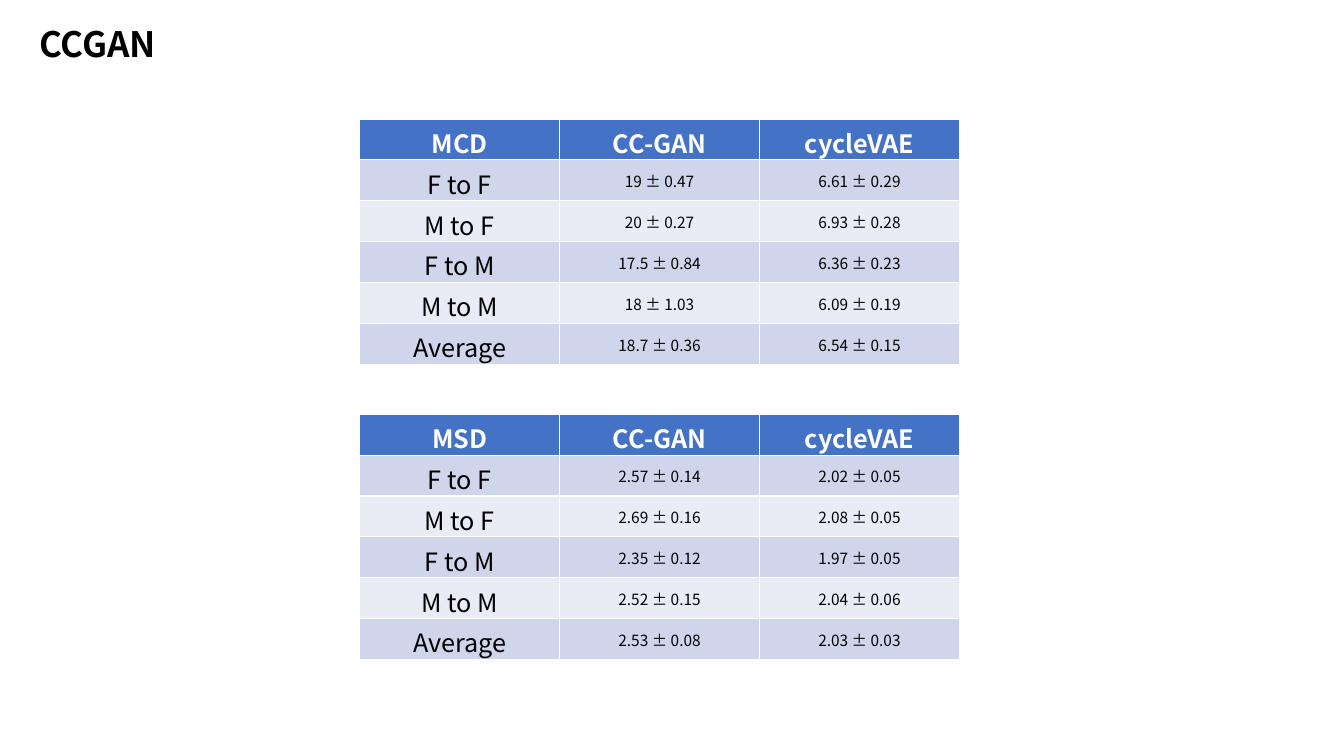
"""Build the CCGAN slide with the MCD and MSD comparison tables."""
from lxml.etree import SubElement
from pptx import Presentation
from pptx.dml.color import RGBColor
from pptx.enum.text import MSO_ANCHOR as Anchor, MSO_AUTO_SIZE as AutoSize, PP_ALIGN as Align
from pptx.oxml.ns import qn
from pptx.util import Pt

FONT = "Noto Sans CJK KR"
BLACK = RGBColor(0x00, 0x00, 0x00)
WHITE = RGBColor(0xFF, 0xFF, 0xFF)
HEADER_BLUE = RGBColor(0x44, 0x72, 0xC4)
BANDS = [RGBColor(0xE9, 0xEB, 0xF5), RGBColor(0xCF, 0xD5, 0xEA)]

TABLE_LEFT, COLUMN_WIDTH, ROW_HEIGHT = 257, 142.8, 29.2
DIRECTIONS = ["F to F", "M to F", "F to M", "M to M", "Average"]
TABLES = [
    ("MCD", 85,
     ["19 ± 0.47", "20 ± 0.27", "17.5 ± 0.84", "18 ± 1.03", "18.7 ± 0.36"],
     ["6.61 ± 0.29", "6.93 ± 0.28", "6.36 ± 0.23", "6.09 ± 0.19", "6.54 ± 0.15"]),
    ("MSD", 295.9,
     ["2.57 ± 0.14", "2.69 ± 0.16", "2.35 ± 0.12", "2.52 ± 0.15", "2.53 ± 0.08"],
     ["2.02 ± 0.05", "2.08 ± 0.05", "1.97 ± 0.05", "2.04 ± 0.06", "2.03 ± 0.03"]),
]


def add_text(paragraph, text, size, color, bold):
    run = paragraph.add_run()
    run.text = text
    run.font.size = Pt(size)
    run.font.bold = bold
    run.font.color.rgb = color
    run.font.name = FONT
    SubElement(run.font._element, qn("a:ea"), typeface=FONT)


presentation = Presentation()
presentation.slide_width = Pt(960)
presentation.slide_height = Pt(540)
slide = presentation.slides.add_slide(presentation.slide_layouts[6])

title = slide.shapes.add_textbox(Pt(21), Pt(12.2), Pt(101.5), Pt(37.5))
title.text_frame.word_wrap = False
title.text_frame.auto_size = AutoSize.SHAPE_TO_FIT_TEXT
add_text(title.text_frame.paragraphs[0], "CCGAN", 25, BLACK, True)

for metric, top, gan_values, vae_values in TABLES:
    rows = [(metric, "CC-GAN", "cycleVAE"), *zip(DIRECTIONS, gan_values, vae_values)]
    table = slide.shapes.add_table(
        len(rows), 3, Pt(TABLE_LEFT), Pt(top),
        Pt(3 * COLUMN_WIDTH), Pt(len(rows) * ROW_HEIGHT)).table
    for column in table.columns:
        column.width = Pt(COLUMN_WIDTH)
    for row_index, row in enumerate(rows):
        table.rows[row_index].height = Pt(ROW_HEIGHT)
        is_header = row_index == 0
        for column_index, text in enumerate(row):
            is_value = not is_header and column_index > 0
            cell = table.cell(row_index, column_index)
            cell.vertical_anchor = Anchor.MIDDLE
            cell.fill.solid()
            cell.fill.fore_color.rgb = HEADER_BLUE if is_header else BANDS[row_index % 2]
            if is_value:
                cell.margin_left = cell.margin_top = cell.margin_right = Pt(0.75)
                cell.margin_bottom = Pt(0)
            paragraph = cell.text_frame.paragraphs[0]
            paragraph.alignment = Align.CENTER
            add_text(paragraph, text, 11 if is_value else 18,
                     WHITE if is_header else BLACK, is_header)

presentation.save("out.pptx")
